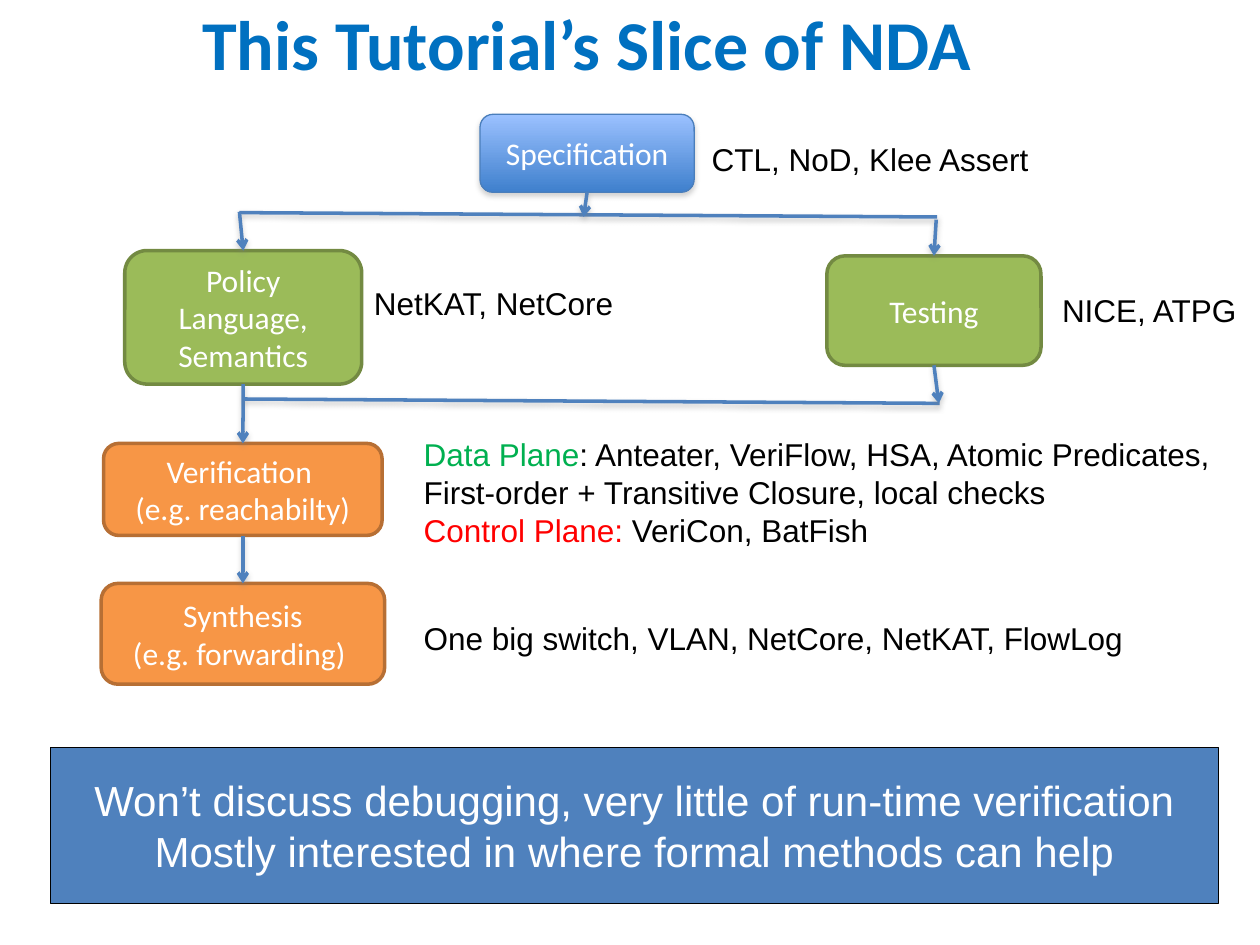
from lxml import etree
from pptx import Presentation
from pptx.dml.color import RGBColor
from pptx.enum.shapes import MSO_CONNECTOR as Connector, MSO_SHAPE as Shape
from pptx.enum.text import MSO_ANCHOR as Anchor, MSO_AUTO_SIZE as AutoSize, PP_ALIGN as Align
from pptx.oxml.ns import qn
from pptx.util import Pt

THEME = {
    "heading_font": "Calibri", "body_font": "Arial",
    "title_size": 40, "note_size": 24, "text_size": 18,
    "title": "0070C0", "white": "FFFFFF", "black": "000000",
    "green": "00B050", "red": "FF0000", "line": "4F81BD", "note": "4F81BD",
    "shadow": "808080",
    # fill (two colours make a gradient), outline, outline width
    "source": (("9BC1FF", "3F80CD"), "4A7EBB", 0.75),
    "input": (("9BBB59",), "738A42", 2),
    "output": (("F79646",), "B76F34", 2),
}

# Content: lengths are left, top, width, height in points
TITLE = "This Tutorial’s Slice of NDA"
STAGES = {
    "specification": ("Specification", "source", (274.3, 65.3, 122.4, 44.6)),
    "policy": ("Policy Language, Semantics", "input", (71.3, 143.2, 135.4, 76.3)),
    "testing": ("Testing", "input", (472.5, 146.2, 122.4, 62.6)),
    "verification": ("Verification \n(e.g. reachabilty)", "output", (59.2, 253.4, 159.2, 52.6)),
    "synthesis": ("Synthesis\n(e.g. forwarding) ", "output", (57.8, 333.4, 162, 57.6)),
}
# Each label is a list of lines, each line a list of (text, colour)
LABELS = [
    ((399.6, 76.4, 197.3, 29), [[("CTL, NoD, Klee Assert", "black")]]),
    ((206.6, 158.6, 152.6, 29), [[("NetKAT, NetCore", "black")]]),
    ((235, 245, 473, 72.7), [
        [("Data Plane", "green"), (": Anteater, VeriFlow, HSA, Atomic Predicates,", "black")],
        [("First-order + Transitive Closure, local checks", "black")],
        [("Control Plane: ", "red"), ("VeriCon, BatFish", "black")]]),
    ((235, 350.2, 423.4, 29), [[("One big switch, VLAN, NetCore, NetKAT, FlowLog", "black")]]),
    ((599.8, 163, 120.2, 29), [[("NICE, ATPG", "black")]]),
]
NOTE = ("Won’t discuss debugging, very little of run-time verification\n"
        "Mostly interested in where formal methods can help")
NOTE_BOX = (28.8, 427, 667.4, 89.3)
# Start, end, arrowhead; an end is a point or a (stage, side) joint
TOP, BOTTOM = 0, 2
LINKS = [
    ((136.8, 121.5), (535.5, 124), False),
    ((535, 125.5), ("testing", TOP), True),
    (("specification", BOTTOM), (333.5, 124), True),
    ((136.8, 121), ("policy", TOP), True),
    (("policy", BOTTOM), ("verification", TOP), True),
    ((139, 228), (537, 230.5), False),
    (("testing", BOTTOM), (536.5, 230.5), True),
    (("verification", BOTTOM), ("synthesis", TOP), True),
]


def color(name):
    return RGBColor.from_string(THEME.get(name, name))


def points(box):
    return [Pt(length) for length in box]


def style(font, size, tint, face):
    font.size, font.name = Pt(THEME[size]), THEME[face]
    font.color.rgb = color(tint)


def write_centered(frame, text, size, tint, face):
    frame.text = text
    frame.vertical_anchor = Anchor.MIDDLE
    for paragraph in frame.paragraphs:
        paragraph.alignment = Align.CENTER
        for run in paragraph.runs:
            style(run.font, size, tint, face)


def add_shadow(properties, opacity, distance):
    effects = properties.find(qn("a:effectLst"))
    if effects is None:
        effects = etree.SubElement(properties, qn("a:effectLst"))
    outer = etree.SubElement(effects, qn("a:outerShdw"), blurRad=str(Pt(3.1)),
                             dist=str(Pt(distance)), dir="5400000", rotWithShape="0")
    tint = etree.SubElement(outer, qn("a:srgbClr"), val=THEME["shadow"])
    etree.SubElement(tint, qn("a:alpha"), val=str(opacity * 1000))


def add_box(slide, kind, box, fills, outline, width):
    shape = slide.shapes.add_shape(kind, *points(box))
    if len(fills) > 1:
        shape.fill.gradient()
        shape.fill.gradient_angle = 270
        for stop, tint in zip(shape.fill.gradient_stops, fills):
            stop.color.rgb = color(tint)
            stop.position = fills.index(tint)
    else:
        shape.fill.solid()
        shape.fill.fore_color.rgb = color(fills[0])
    shape.line.color.rgb = color(outline)
    shape.line.width = Pt(width)
    shape.shadow.inherit = False
    return shape


def add_label(slide, box, lines):
    label = slide.shapes.add_textbox(*points(box))
    frame = label.text_frame
    frame.word_wrap = False
    frame.auto_size = AutoSize.SHAPE_TO_FIT_TEXT
    for number, line in enumerate(lines):
        paragraph = frame.add_paragraph() if number else frame.paragraphs[0]
        for text, tint in line:
            run = paragraph.add_run()
            run.text = text
            style(run.font, "text_size", tint, "body_font")


def add_link(slide, start, end, arrow, stages):
    spots = [(0, 0) if spot[0] in stages else spot for spot in (start, end)]
    link = slide.shapes.add_connector(Connector.STRAIGHT, *points(spots[0] + spots[1]))
    for spot, join in ((start, link.begin_connect), (end, link.end_connect)):
        if spot[0] in stages:
            join(stages[spot[0]], spot[1])
    link.line.color.rgb = color("line")
    link.line.width = Pt(2)
    properties = link._element.spPr
    if arrow:
        etree.SubElement(properties.find(qn("a:ln")), qn("a:tailEnd"), type="arrow")
    add_shadow(properties, 38, 1.6)


def main():
    deck = Presentation()
    deck.slide_width, deck.slide_height = Pt(720), Pt(540)
    slide = deck.slides.add_slide(deck.slide_layouts[5])

    # Title
    title = slide.shapes.title
    title.left, title.top, title.width, title.height = points((17.3, -20.9, 635.8, 90))
    write_centered(title.text_frame, TITLE, "title_size", "title", "heading_font")
    title.text_frame.paragraphs[0].runs[0].font.bold = True

    # Stages of the flow
    stages = {}
    for key, (text, look, box) in STAGES.items():
        stage = add_box(slide, Shape.ROUNDED_RECTANGLE, box, *THEME[look])
        write_centered(stage.text_frame, text, "text_size", "white", "heading_font")
        stage.text_frame.word_wrap = True
        stages[key] = stage
    add_shadow(stages["specification"]._element.spPr, 35, 1.8)

    # Closing note
    note = add_box(slide, Shape.RECTANGLE, NOTE_BOX, ("note",), "black", 0.75)
    write_centered(note.text_frame, NOTE, "note_size", "white", "body_font")
    note.text_frame.word_wrap = False

    # Tools beside the stages
    for box, lines in LABELS:
        add_label(slide, box, lines)

    # Links between the stages
    for start, end, arrow in LINKS:
        add_link(slide, start, end, arrow, stages)

    deck.save("out.pptx")


if __name__ == "__main__":
    main()
